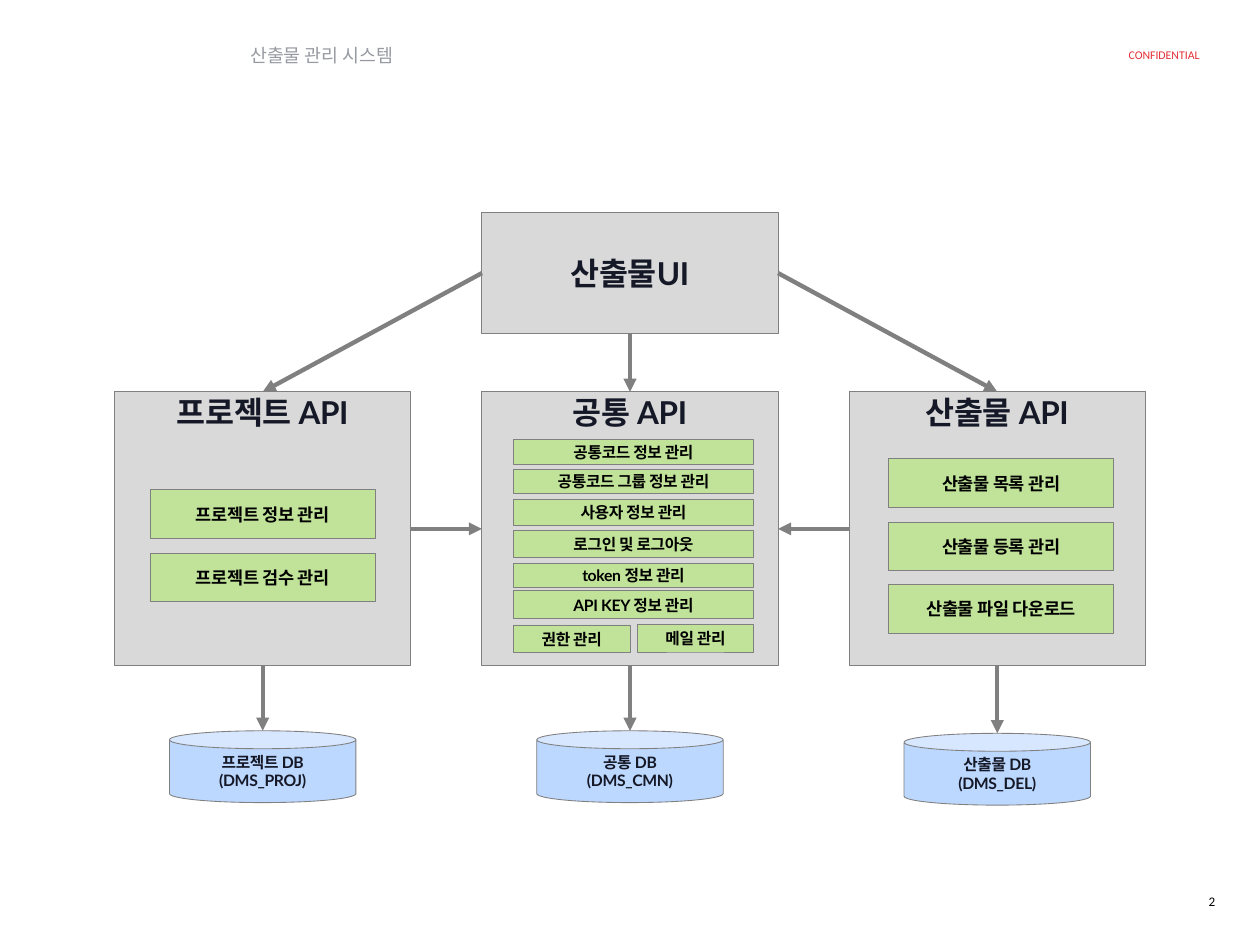
from pptx import Presentation
from pptx.dml.color import RGBColor
from pptx.enum import shapes, text
from pptx.oxml import ns
from pptx.util import Inches, Pt
from lxml import etree

WHITE = RGBColor(0xFF, 0xFF, 0xFF)
BLACK = RGBColor(0x00, 0x00, 0x00)
NAVY = RGBColor(0x15, 0x18, 0x26)
RED = RGBColor(0xE2, 0x31, 0x37)
TITLE_GRAY = RGBColor(0x98, 0x9A, 0xA2)
LINE_GRAY = RGBColor(0x80, 0x80, 0x80)
PANEL_GRAY = RGBColor(0xD9, 0xD9, 0xD9)
GREEN = RGBColor(0xC0, 0xE3, 0x99)
BLUE = RGBColor(0xBD, 0xD8, 0xFF)
KOREAN_FONT = "Noto Sans CJK KR"

# Columns of the diagram: project, common, deliverable
CENTERS = (4.17, 10, 15.83)
PANEL_WIDTH = 4.7
PANEL_TOP, PANEL_HEIGHT = 6.22, 4.35
PANEL_BOTTOM = PANEL_TOP + PANEL_HEIGHT
UI_TOP, UI_HEIGHT = 3.37, 1.93
CAN_WIDTH, CAN_HEIGHT = 2.96, 1.14

PANEL_TITLES = ("프로젝트 API", "공통 API", "산출물 API")
DATABASES = (
    (["프로젝트 DB", "(DMS_PROJ)"], 11.6),
    (["공통 DB", "(DMS_CMN)"], 11.6),
    (["산출물 DB", "(DMS_DEL)"], 11.64),
)
# Feature boxes: label, top, height
PROJECT_FEATURES = (
    ("프로젝트 정보 관리", 7.77, 0.78),
    ("프로젝트 검수 관리", 8.79, 0.76),
)
COMMON_FEATURES = (
    ("공통코드 정보 관리", 6.98, 0.39),
    ("공통코드 그룹 정보 관리", 7.45, 0.39),
    ("사용자 정보 관리", 7.92, 0.42),
    ("로그인 및 로그아웃", 8.42, 0.43),
    ("token 정보 관리", 8.95, 0.37),
    ("API KEY 정보 관리", 9.38, 0.44),
)
DELIVERABLE_FEATURES = (
    ("산출물 목록 관리", 7.28, 0.78),
    ("산출물 등록 관리", 8.3, 0.76),
    ("산출물 파일 다운로드", 9.27, 0.78),
)


def write(frame, lines, size, color, font, align, bold=False, spacing=0):
    for index, line in enumerate(lines):
        paragraph = frame.paragraphs[0] if index == 0 else frame.add_paragraph()
        paragraph.alignment = align
        paragraph.font.size = Pt(size)
        paragraph.font.name = font
        paragraph.font.bold = bold
        paragraph.font.color.rgb = color
        run = paragraph.add_run()
        run.text = line
        properties = run._r.get_or_add_rPr()
        properties.set("spc", str(spacing))
        etree.SubElement(properties, ns.qn("a:ea"), typeface=KOREAN_FONT)


def add_label(slide, words, left, top, width, height, size, color, font, align):
    frame = slide.shapes.add_textbox(
        Inches(left), Inches(top), Inches(width), Inches(height)).text_frame
    frame.word_wrap = True
    frame.vertical_anchor = text.MSO_ANCHOR.MIDDLE
    frame.margin_left = frame.margin_right = Inches(0.04)
    frame.margin_top = frame.margin_bottom = Inches(0.04)
    write(frame, [words], size, color, font, align)


def add_box(slide, lines, left, top, width, height, fill, size, color=NAVY,
            kind=shapes.MSO_SHAPE.RECTANGLE, anchor=text.MSO_ANCHOR.MIDDLE,
            inset=0.06):
    shape = slide.shapes.add_shape(
        kind, Inches(left), Inches(top), Inches(width), Inches(height))
    shape.shadow.inherit = False
    shape.fill.solid()
    shape.fill.fore_color.rgb = fill
    shape.line.color.rgb = LINE_GRAY
    shape.line.width = Pt(1)
    frame = shape.text_frame
    frame.word_wrap = True
    frame.vertical_anchor = anchor
    frame.margin_left = frame.margin_right = Inches(0.06)
    frame.margin_top = frame.margin_bottom = Inches(inset)
    write(frame, lines, size, color, "Lato", text.PP_ALIGN.CENTER, True, -40)


def add_features(slide, features, left, width, size):
    for label, top, height in features:
        add_box(slide, [label], left, top, width, height, GREEN, size, BLACK)


def add_arrow(slide, start, end):
    connector = slide.shapes.add_connector(
        shapes.MSO_CONNECTOR.STRAIGHT, *map(Inches, start + end))
    connector.line.color.rgb = LINE_GRAY
    connector.line.width = Pt(5)
    etree.SubElement(connector.line._get_or_add_ln(), ns.qn("a:tailEnd"),
                     type="triangle")
    etree.SubElement(connector._element.spPr, ns.qn("a:effectLst"))


def main():
    presentation = Presentation()
    presentation.slide_width = Inches(20)
    presentation.slide_height = Inches(15)
    slide = presentation.slides.add_slide(presentation.slide_layouts[6])
    slide.background.fill.solid()
    slide.background.fill.fore_color.rgb = WHITE

    # Header and page number
    left_align, right_align = text.PP_ALIGN.LEFT, text.PP_ALIGN.RIGHT
    add_label(slide, "CONFIDENTIAL", 17.4, 0.72, 1.68, 0.29, 13.5, RED,
              "Calibri", right_align)
    add_label(slide, "산출물 관리 시스템", 3.93, 0.65, 13.25, 0.44, 21,
              TITLE_GRAY, KOREAN_FONT, left_align)
    add_label(slide, "2", 15.95, 14.15, 3.38, 0.32, 15, BLACK,
              "Calibri", right_align)

    # User interface, API panels and databases
    half = PANEL_WIDTH / 2
    middle = CENTERS[1]
    add_box(slide, ["산출물UI"], middle - half, UI_TOP, PANEL_WIDTH, UI_HEIGHT,
            PANEL_GRAY, 36)
    for center, title, (lines, can_top) in zip(CENTERS, PANEL_TITLES, DATABASES):
        add_box(slide, [title], center - half, PANEL_TOP, PANEL_WIDTH,
                PANEL_HEIGHT, PANEL_GRAY, 36,
                anchor=text.MSO_ANCHOR.TOP, inset=0.02)
        add_box(slide, lines, center - CAN_WIDTH / 2, can_top, CAN_WIDTH,
                CAN_HEIGHT, BLUE, 18, kind=shapes.MSO_SHAPE.CAN)
        add_arrow(slide, (center, PANEL_BOTTOM), (center, can_top))

    # Features of each API
    add_features(slide, PROJECT_FEATURES, 2.38, 3.58, 20)
    add_features(slide, COMMON_FEATURES, 8.15, 3.81, 18)
    add_features(slide, [("권한 관리", 9.92, 0.44)], 8.15, 1.85, 18)
    add_features(slide, [("메일 관리", 9.91, 0.44)], 10.12, 1.84, 18)
    add_features(slide, DELIVERABLE_FEATURES, 14.1, 3.58, 20)

    # Arrows from the interface down, and from the side panels inwards
    add_arrow(slide, (middle, UI_TOP + UI_HEIGHT), (middle, PANEL_TOP))
    ui_middle = UI_TOP + UI_HEIGHT / 2
    panel_middle = PANEL_TOP + PANEL_HEIGHT / 2
    for center, side in ((CENTERS[0], -1), (CENTERS[2], 1)):
        edge = middle + side * half
        add_arrow(slide, (edge, ui_middle), (center, PANEL_TOP))
        add_arrow(slide, (center - side * half, panel_middle),
                  (edge, panel_middle))

    presentation.save("out.pptx")


if __name__ == "__main__":
    main()
